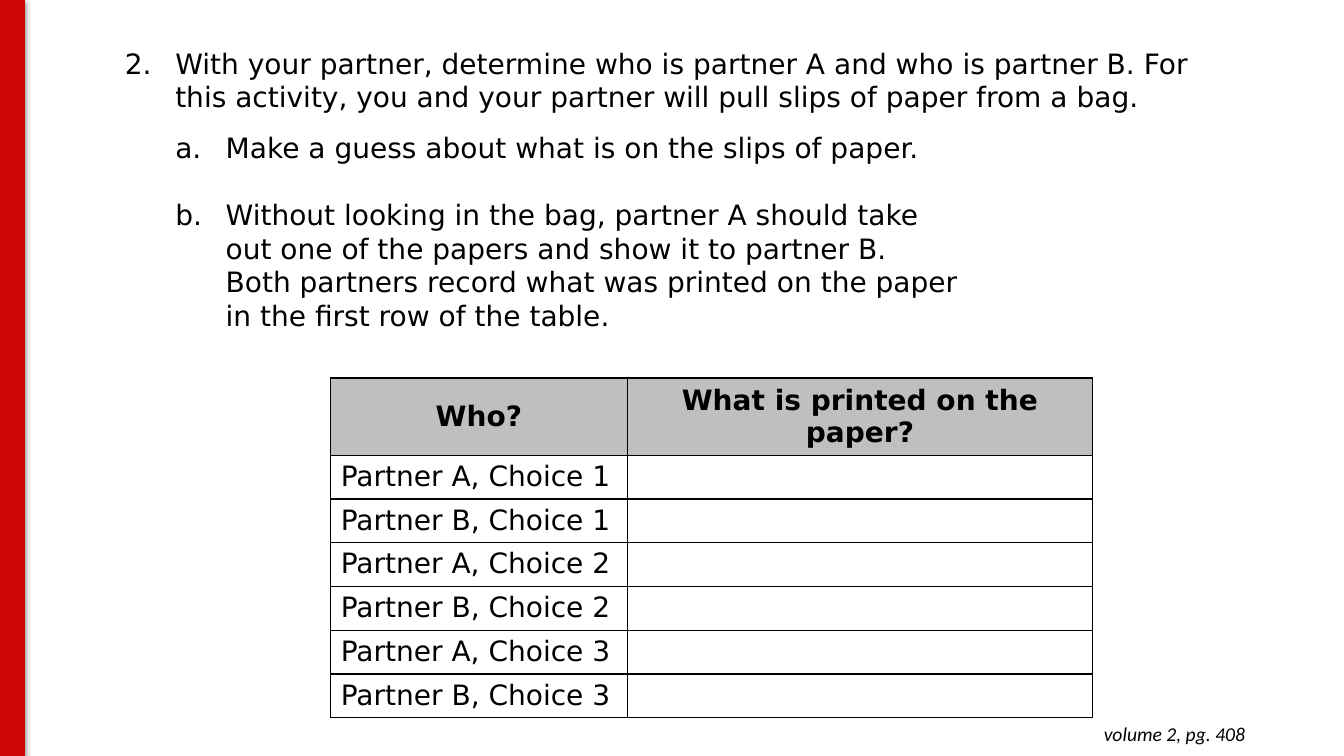
from lxml.etree import SubElement
from pptx import Presentation
from pptx.dml.color import RGBColor
from pptx.enum.shapes import MSO_SHAPE
from pptx.enum.text import MSO_ANCHOR, PP_ALIGN
from pptx.oxml.ns import qn
from pptx.util import Inches, Pt

BLACK = RGBColor(0x00, 0x00, 0x00)
RED = RGBColor(0xCE, 0x07, 0x04)
GREY = RGBColor(0xBF, 0xBF, 0xBF)
BODY_FONT = "DejaVu Sans"
INDENT = 0.5

# Level, space before in points, text
STEPS = [
    (1, 0, "With your partner, determine who is partner A and who is partner B. "
           "For this activity, you and your partner will pull slips of paper from a bag."),
    (2, 12, "Make a guess about what is on the slips of paper."),
    (2, 24, "Without looking in the bag, partner A should take\v"
            "out one of the papers and show it to partner B.\v"
            "Both partners record what was printed on the paper\v"
            "in the first row of the table."),
]
HEADINGS = ["Who?", "What is printed on the paper?"]
CHOICES = [f"Partner {partner}, Choice {turn}" for turn in (1, 2, 3) for partner in "AB"]


def add_xml(parent, tag, **attributes):
    return SubElement(parent, qn(tag), {key: str(value) for key, value in attributes.items()})


def style(paragraph, size=20, name=BODY_FONT, bold=False, italic=False):
    font = paragraph.font
    font.size, font.name, font.bold, font.italic = Pt(size), name, bold, italic
    font.color.rgb = BLACK


def number(paragraph, level):
    """Number level 1 from 2., level 2 from a., with a hanging indent."""
    properties = paragraph._p.get_or_add_pPr()
    properties.set("marL", str(Inches(level * INDENT)))
    properties.set("indent", str(-Inches(INDENT)))
    add_xml(add_xml(properties, "a:buClr"), "a:srgbClr", val=BLACK)
    add_xml(properties, "a:buFont", typeface="+mj-lt")
    if level == 1:
        add_xml(properties, "a:buAutoNum", type="arabicPeriod", startAt=2)
    else:
        add_xml(properties, "a:buAutoNum", type="alphaLcPeriod")


def add_instructions(slide, left, top, width, height):
    frame = slide.shapes.add_textbox(left, top, width, height).text_frame
    frame.word_wrap = True
    for index, (level, gap, text) in enumerate(STEPS):
        step = frame.add_paragraph() if index else frame.paragraphs[0]
        step.text = text
        if gap:
            step.space_before = Pt(gap)
        number(step, level)
        style(step)


def add_side_bar(slide, left, top, width, height):
    bar = slide.shapes.add_shape(MSO_SHAPE.RECTANGLE, left, top, width, height)
    bar.fill.solid()
    bar.fill.fore_color.rgb = RED
    bar.line.color.rgb = RED
    bar.line.width = Pt(0.75)
    bar.shadow.inherit = False
    effects = bar._element.spPr.find(qn("a:effectLst"))
    shadow = add_xml(effects, "a:outerShdw", blurRad=Pt(4.5), dist=Pt(1.5),
                     dir=90 * 60000, rotWithShape=0)
    add_xml(add_xml(shadow, "a:srgbClr", val=BLACK), "a:alpha", val=50000)


def add_borders(cell):
    properties = cell._tc.get_or_add_tcPr()
    for position, side in enumerate(("a:lnL", "a:lnR", "a:lnT", "a:lnB")):
        border = properties.makeelement(qn(side), {"w": str(Pt(1))})
        add_xml(add_xml(border, "a:solidFill"), "a:srgbClr", val=BLACK)
        properties.insert(position, border)


def add_record_table(slide, left, top, column_widths, row_height):
    rows = [HEADINGS] + [[choice, ""] for choice in CHOICES]
    table = slide.shapes.add_table(len(rows), len(HEADINGS), left, top,
                                   sum(column_widths), row_height * len(rows)).table
    for column, width in zip(table.columns, column_widths):
        column.width = width
    for row_index, texts in enumerate(rows):
        is_heading = row_index == 0
        for column_index, text in enumerate(texts):
            cell = table.cell(row_index, column_index)
            cell.text = text
            if is_heading:
                cell.fill.solid()
                cell.fill.fore_color.rgb = GREY
                cell.vertical_anchor = MSO_ANCHOR.MIDDLE
                cell.text_frame.paragraphs[0].alignment = PP_ALIGN.CENTER
            else:
                cell.fill.background()
            style(cell.text_frame.paragraphs[0], bold=is_heading)
            add_borders(cell)


def add_page_reference(slide, left, top, width, height):
    frame = slide.shapes.add_textbox(left, top, width, height).text_frame
    frame.word_wrap = True
    frame.margin_top = frame.margin_bottom = Inches(0.1)
    reference = frame.paragraphs[0]
    reference.text = "volume 2, pg. 408"
    reference.alignment = PP_ALIGN.RIGHT
    style(reference, size=14, name="Calibri", italic=True)


def main():
    deck = Presentation()
    deck.slide_width, deck.slide_height = Inches(13.33), Inches(7.5)
    slide = deck.slides.add_slide(deck.slide_layouts[6])
    add_instructions(slide, Inches(1.14), Inches(0.41), Inches(11.23), Inches(2.96))
    add_side_bar(slide, 0, 0, Inches(0.24), deck.slide_height)
    add_record_table(slide, Inches(3.28), Inches(3.75),
                     [Inches(2.94), Inches(4.62)], Inches(0.41))
    add_page_reference(slide, Inches(9.57), Inches(7.06), Inches(2.88), Inches(0.44))
    deck.save("out.pptx")


if __name__ == "__main__":
    main()
